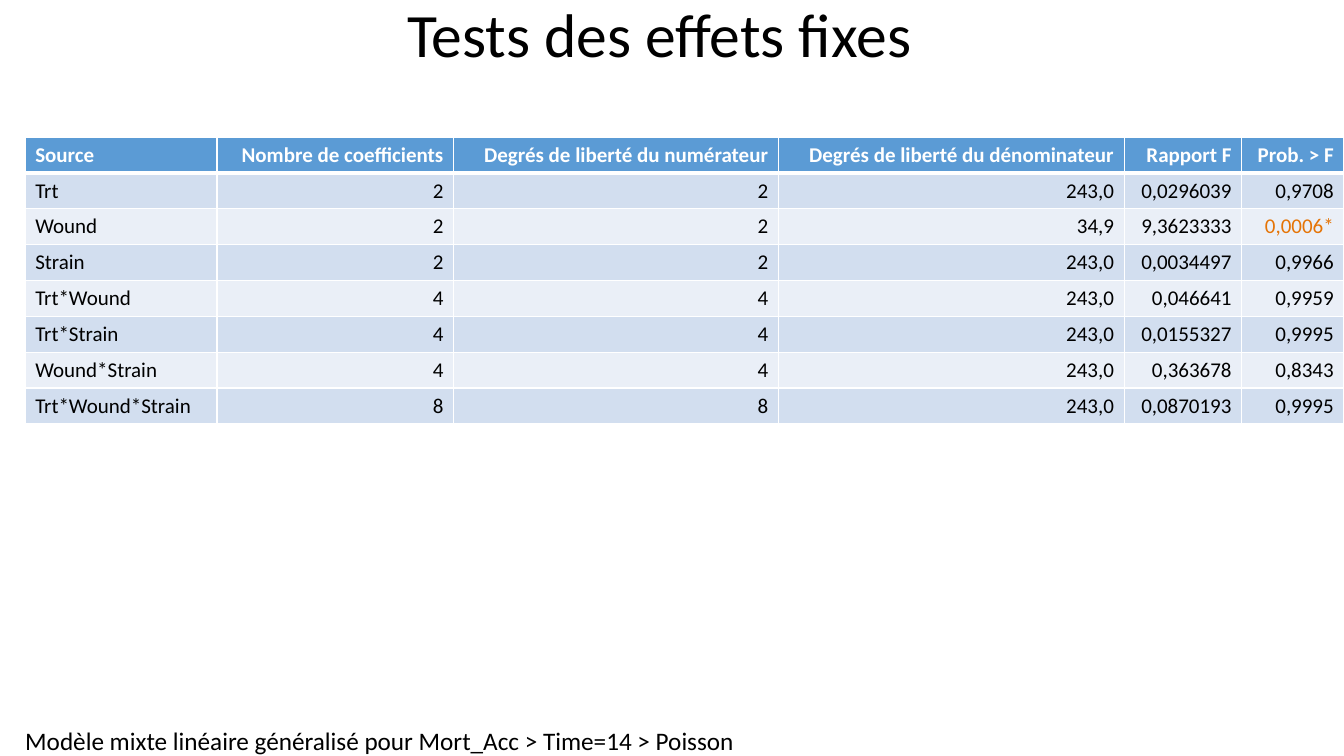
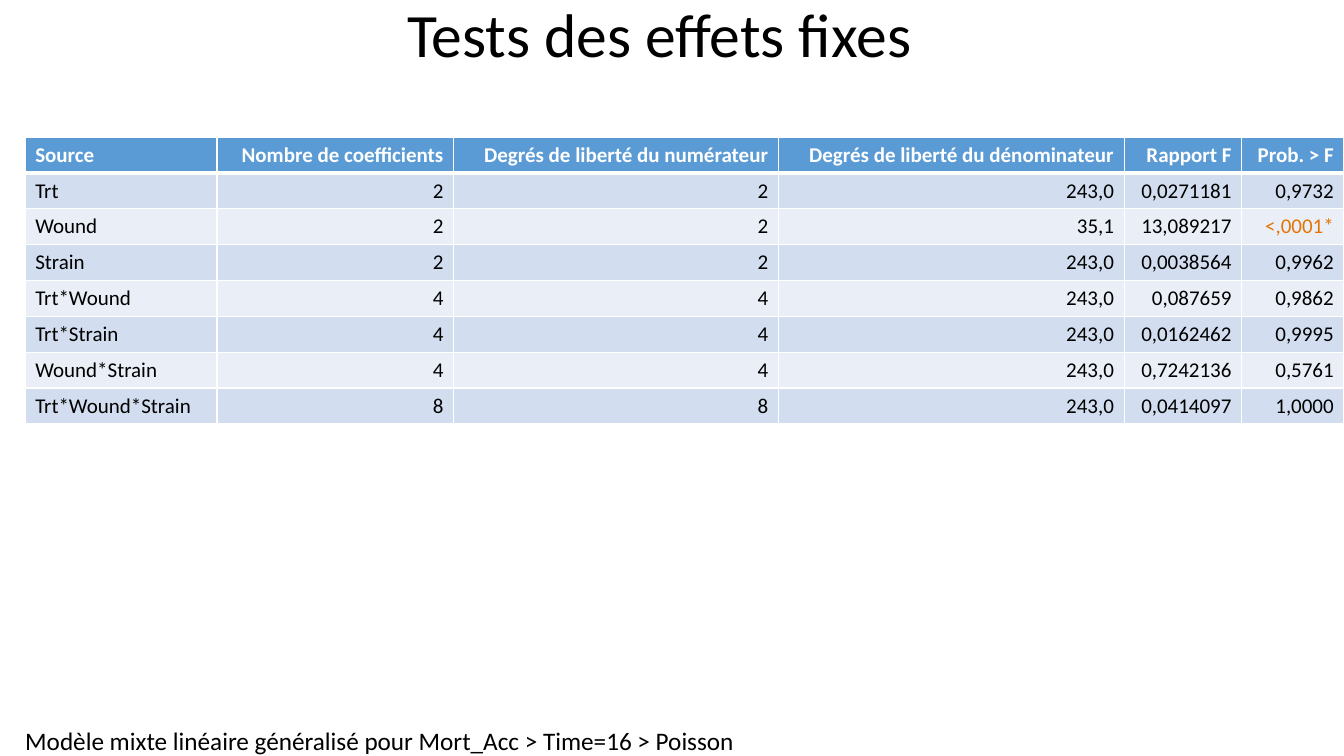
import dataclasses

import pptx
import pptx.dml.color
import pptx.enum.text
import pptx.oxml
import pptx.oxml.ns
import pptx.util

Pt = pptx.util.Pt
ALIGN = pptx.enum.text.PP_ALIGN
ANCHOR = pptx.enum.text.MSO_ANCHOR


@dataclasses.dataclass(frozen=True)
class Theme:
    font: str = "Calibri"
    ink: str = "000000"
    paper: str = "FFFFFF"
    head: str = "5B9BD5"
    bands: tuple = ("D2DEEF", "EAEFF7")
    alert: str = "E57406"
    title: int = 44
    note: int = 18
    cell: int = 15
    rule: int = 1
    thick: int = 3


WIDE, HIGH, EDGE = 960, 540, 18
COLS = (137, 169, 232, 247, 84, 73)
ROW = 25.2

HEAD = ("Source", "Nombre de coefficients", "Degrés de liberté du numérateur",
        "Degrés de liberté du dénominateur", "Rapport F", "Prob. > F")
TERMS = (("Trt", "2"), ("Wound", "2"), ("Strain", "2"), ("Trt*Wound", "4"),
         ("Trt*Strain", "4"), ("Wound*Strain", "4"), ("Trt*Wound*Strain", "8"))
# For each day: denominator degrees of freedom, F ratio and probability per term
TESTS = {
    14: (("243,0", "0,0296039", "0,9708"), ("34,9", "9,3623333", "0,0006*"),
         ("243,0", "0,0034497", "0,9966"), ("243,0", "0,046641", "0,9959"),
         ("243,0", "0,0155327", "0,9995"), ("243,0", "0,363678", "0,8343"),
         ("243,0", "0,0870193", "0,9995")),
    16: (("243,0", "0,0271181", "0,9732"), ("35,1", "13,089217", "<,0001*"),
         ("243,0", "0,0038564", "0,9962"), ("243,0", "0,087659", "0,9862"),
         ("243,0", "0,0162462", "0,9995"), ("243,0", "0,7242136", "0,5761"),
         ("243,0", "0,0414097", "1,0000")),
}


def tint(code):
    return pptx.dml.color.RGBColor.from_string(code)


class Deck:
    def __init__(self, theme):
        self.theme = theme
        self.show = pptx.Presentation()
        self.show.slide_width, self.show.slide_height = Pt(WIDE), Pt(HIGH)
        self.slide = None

    def start(self):
        """Add a title-only slide and make it current."""
        self.slide = self.show.slides.add_slide(self.show.slide_layouts[5])

    def add_run(self, para, text, size, color, bold=False):
        run = para.add_run()
        run.text = text
        font = run.font
        font.name, font.size, font.bold = self.theme.font, Pt(size), bold
        font.color.rgb = tint(color)

    def title(self, text):
        box = self.slide.shapes.title
        box.left, box.top = Pt(0), Pt(0)
        box.width, box.height = Pt(WIDE - EDGE), Pt(54)
        frame = box.text_frame
        frame.vertical_anchor = ANCHOR.MIDDLE
        frame.auto_size = pptx.enum.text.MSO_AUTO_SIZE.NONE
        para = frame.paragraphs[0]
        para.alignment, para.line_spacing = ALIGN.CENTER, 0.9
        self.add_run(para, text, self.theme.title, self.theme.ink)

    def note(self, text):
        """Set a line of text at the foot of the slide."""
        tall = 22
        box = self.slide.shapes.add_textbox(
            Pt(EDGE), Pt(HIGH - tall), Pt(508), Pt(tall))
        frame = box.text_frame
        frame.margin_left = frame.margin_right = Pt(0)
        frame.margin_top = frame.margin_bottom = Pt(0)
        frame.word_wrap = False
        frame.auto_size = pptx.enum.text.MSO_AUTO_SIZE.SHAPE_TO_FIT_TEXT
        self.add_run(frame.paragraphs[0], text, self.theme.note, self.theme.ink)

    def rules(self, cell, top, base):
        """Draw the four borders of a cell."""
        widths = {"L": self.theme.rule, "R": self.theme.rule,
                  "T": top, "B": base}
        props = cell._tc.get_or_add_tcPr()
        for side, width in widths.items():
            props.append(pptx.oxml.parse_xml(
                f'<a:ln{side} {pptx.oxml.ns.nsdecls("a")} w="{Pt(width)}">'
                f'<a:solidFill><a:srgbClr val="{self.theme.paper}"/>'
                f'</a:solidFill></a:ln{side}>'))

    def cell(self, cell, text, row, col):
        look = self.theme
        self.rules(cell, look.thick if row == 1 else look.rule,
                   look.thick if row == 0 else look.rule)
        if row == 0:
            fill, color = look.head, look.paper
        else:
            fill = look.bands[(row - 1) % 2]
            color = look.alert if text.endswith("*") else look.ink
        cell.fill.solid()
        cell.fill.fore_color.rgb = tint(fill)
        para = cell.text_frame.paragraphs[0]
        para.alignment = ALIGN.RIGHT if col else ALIGN.LEFT
        self.add_run(para, text, look.cell, color, bold=row == 0)

    def table(self, rows):
        grid = self.slide.shapes.add_table(
            len(rows), len(COLS), Pt(EDGE), Pt(98),
            Pt(sum(COLS)), Pt(ROW * len(rows))).table
        for column, width in zip(grid.columns, COLS):
            column.width = Pt(width)
        for row, texts in enumerate(rows):
            grid.rows[row].height = Pt(ROW)
            for col, text in enumerate(texts):
                self.cell(grid.cell(row, col), text, row, col)


def main():
    deck = Deck(Theme())
    for day, tests in TESTS.items():
        deck.start()
        deck.title("Tests des effets fixes")
        deck.table([HEAD] + [(name, count, count, *test)
                             for (name, count), test in zip(TERMS, tests)])
        deck.note("Modèle mixte linéaire généralisé pour Mort_Acc"
                  f" > Time={day} > Poisson")
    deck.show.save("out.pptx")


if __name__ == "__main__":
    main()
